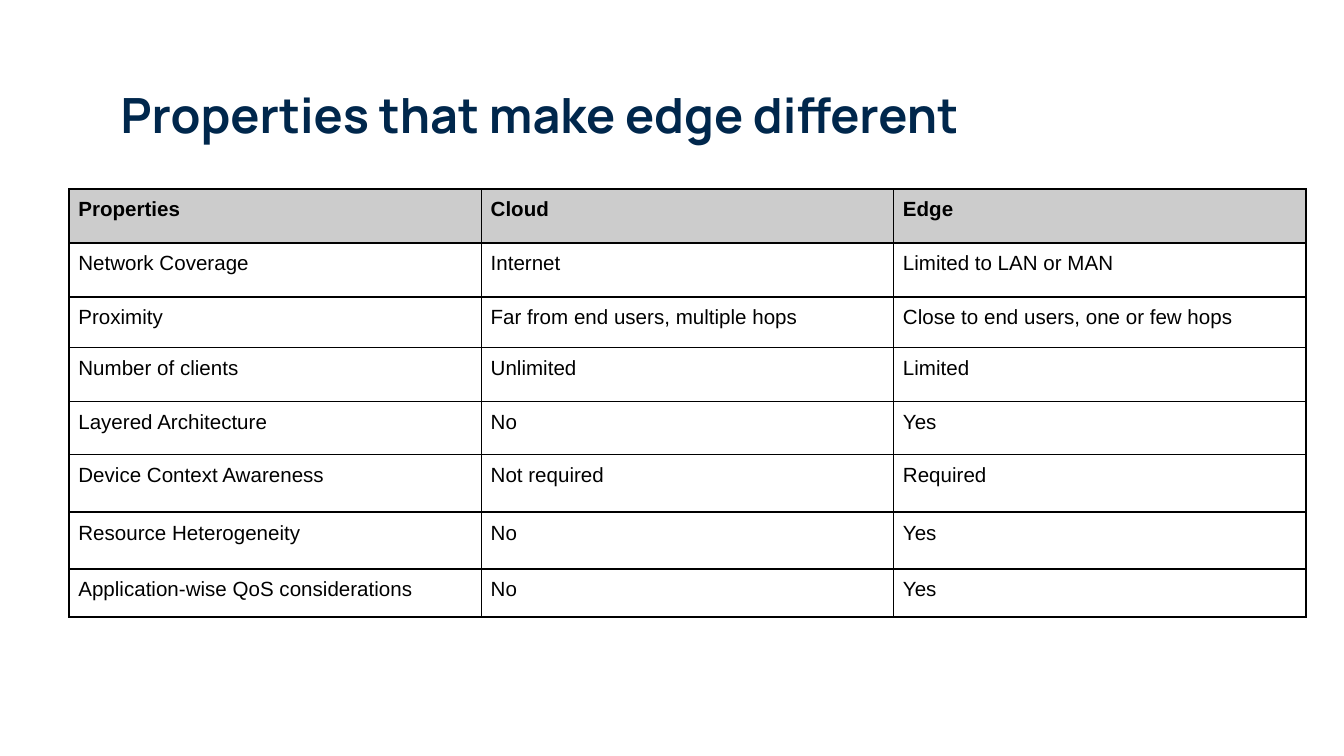
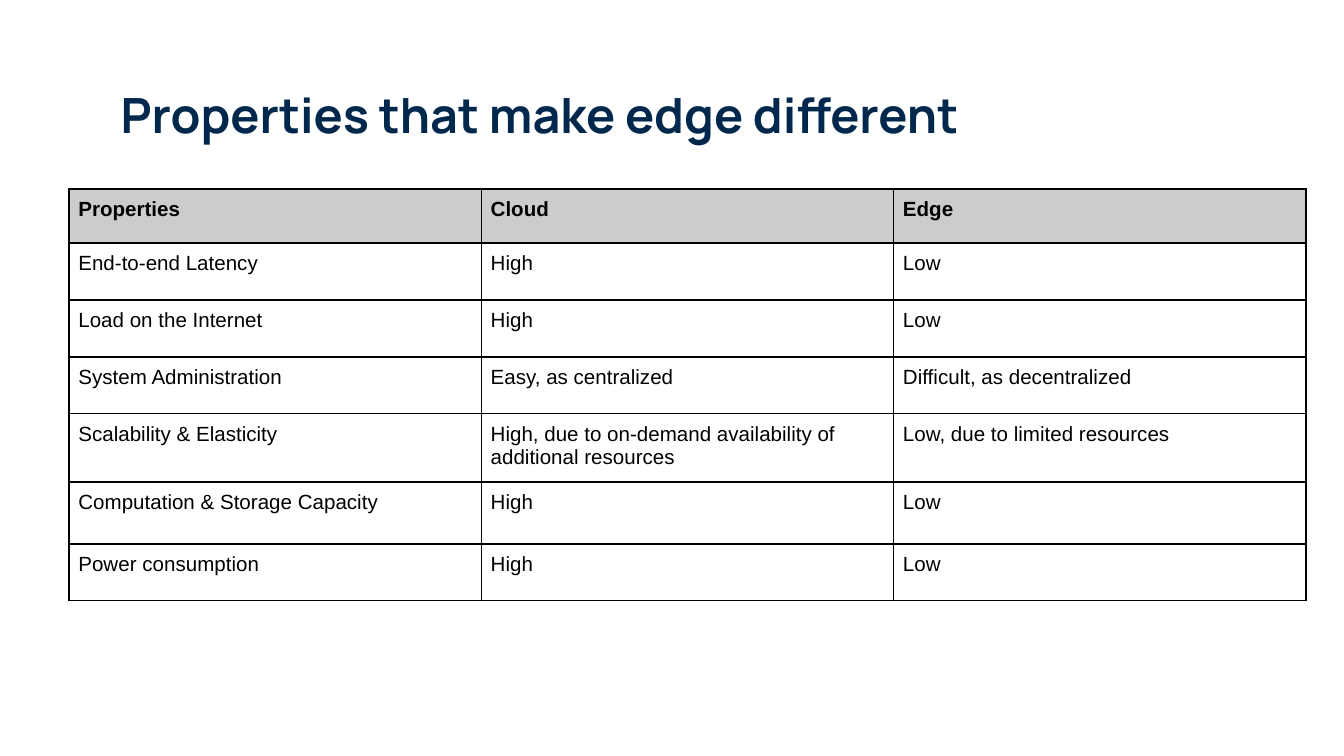
import dataclasses

import lxml.etree
import pptx
import pptx.dml.color
import pptx.enum.text
import pptx.oxml.ns
import pptx.util

Pt = pptx.util.Pt


@dataclasses.dataclass(frozen=True)
class Theme:
    background: str = "FFFFFF"
    title_color: str = "00274C"
    text_color: str = "000000"
    header_fill: str = "CCCCCC"
    border_color: str = "000000"
    title_font: str = "Manrope"
    body_font: str = "Arial"
    title_size: float = 26
    body_size: float = 11
    border_width: float = 1
    title_inset: float = 7.2
    cell_inset: float = 5


THEME = Theme()
SLIDE_SIZE = (720, 405)
TITLE_BOX = (57.6, 44.6, 605.5, 42.5)
TABLE_BOX = (37, 101.3, 662.7)  # left, top, width; the rows give the height
TITLE = "Properties that make edge different"
HEADER = ("Properties", "Cloud", "Edge")
HEADER_HEIGHT = 28.9

# Each row: height, then one text per column
SCOPE_ROWS = [
    (28.9, "Network Coverage", "Internet", "Limited to LAN or MAN"),
    (27.2, "Proximity", "Far from end users, multiple hops",
     "Close to end users, one or few hops"),
    (28.8, "Number of clients", "Unlimited", "Limited"),
    (28.4, "Layered Architecture", "No", "Yes"),
    (31, "Device Context Awareness", "Not required", "Required"),
    (30.4, "Resource Heterogeneity", "No", "Yes"),
    (25.8, "Application-wise QoS considerations", "No", "Yes"),
]
PERFORMANCE_ROWS = [
    (30.5, "End-to-end Latency", "High", "Low"),
    (30.5, "Load on the Internet", "High", "Low"),
    (30.5, "System Administration", "Easy, as centralized",
     "Difficult, as decentralized"),
    (36.5, "Scalability & Elasticity",
     "High, due to on-demand availability of additional resources",
     "Low, due to limited resources"),
    (33.2, "Computation & Storage Capacity", "High", "Low"),
    (30.5, "Power consumption", "High", "Low"),
]


def rgb(value):
    return pptx.dml.color.RGBColor.from_string(value)


def set_insets(target, inset):
    target.margin_left = target.margin_right = Pt(inset)
    target.margin_top = target.margin_bottom = Pt(inset)


def add_run(p, text, font, size, color, bold):
    r = p.add_run()
    r.text = text
    r.font.name = font
    r.font.size = Pt(size)
    r.font.bold = bold
    r.font.color.rgb = rgb(color)


def add_title(s, box, text):
    tf = s.shapes.add_textbox(*map(Pt, box)).text_frame
    tf.word_wrap = True
    tf.vertical_anchor = pptx.enum.text.MSO_ANCHOR.TOP
    set_insets(tf, THEME.title_inset)
    p = tf.paragraphs[0]
    p.line_spacing = 0.8
    add_run(p, text, THEME.title_font, THEME.title_size, THEME.title_color, True)


def add_borders(cell):
    """Outline the cell; call before filling, as borders come first in tcPr."""
    qn = pptx.oxml.ns.qn
    tc_pr = cell._tc.get_or_add_tcPr()
    for side in "LRTB":
        ln = lxml.etree.SubElement(tc_pr, qn(f"a:ln{side}"),
                                   w=str(Pt(THEME.border_width)))
        fill = lxml.etree.SubElement(ln, qn("a:solidFill"))
        lxml.etree.SubElement(fill, qn("a:srgbClr"), val=THEME.border_color)


def format_cell(cell, text, is_header):
    set_insets(cell, THEME.cell_inset)
    cell.vertical_anchor = pptx.enum.text.MSO_ANCHOR.TOP
    add_borders(cell)
    if is_header:
        cell.fill.solid()
        cell.fill.fore_color.rgb = rgb(THEME.header_fill)
    else:
        cell.fill.background()
    add_run(cell.text_frame.paragraphs[0], text, THEME.body_font,
            THEME.body_size, THEME.text_color, is_header)


def add_comparison_table(s, box, body_rows):
    left, top, width = box
    rows = [(HEADER_HEIGHT, *HEADER), *body_rows]
    height = sum(row[0] for row in rows)
    table = s.shapes.add_table(len(rows), len(HEADER), Pt(left), Pt(top),
                               Pt(width), Pt(height)).table
    table.first_row = table.horz_banding = False
    for column in table.columns:
        column.width = Pt(width / len(HEADER))
    for i, (row_height, *texts) in enumerate(rows):
        table.rows[i].height = Pt(row_height)
        for j, text in enumerate(texts):
            format_cell(table.cell(i, j), text, i == 0)


def add_comparison_slide(prs, body_rows):
    s = prs.slides.add_slide(prs.slide_layouts[6])
    s.background.fill.solid()
    s.background.fill.fore_color.rgb = rgb(THEME.background)
    add_title(s, TITLE_BOX, TITLE)
    add_comparison_table(s, TABLE_BOX, body_rows)


def main():
    prs = pptx.Presentation()
    prs.slide_width, prs.slide_height = map(Pt, SLIDE_SIZE)
    for body_rows in (SCOPE_ROWS, PERFORMANCE_ROWS):
        add_comparison_slide(prs, body_rows)
    prs.save("out.pptx")


if __name__ == "__main__":
    main()
